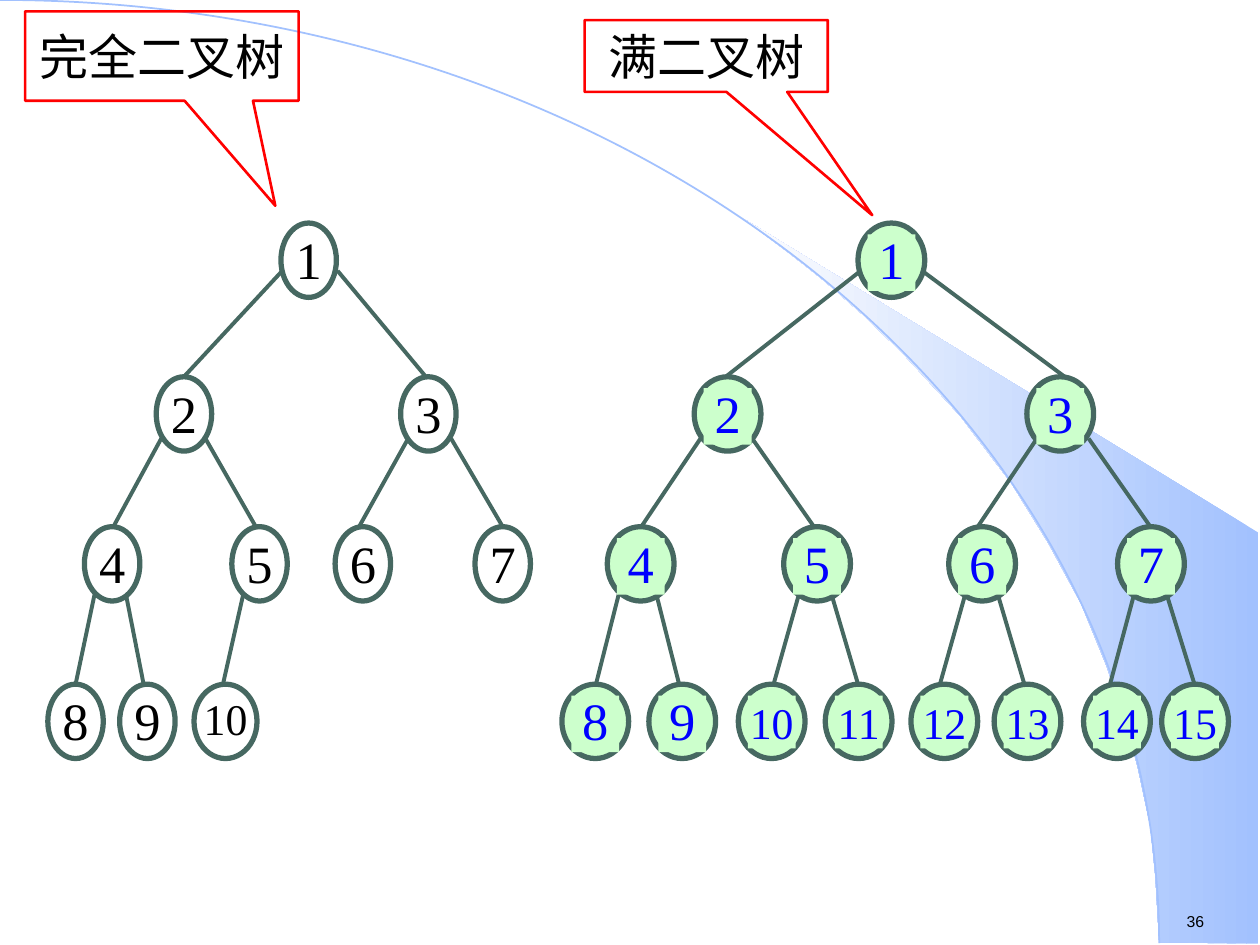
from lxml import etree
from pptx import Presentation
from pptx import util as u
from pptx.dml import color
from pptx.enum import shapes, text

ALIGN, ANCHOR, FIT = text.PP_ALIGN, text.MSO_ANCHOR, text.MSO_AUTO_SIZE
SHAPE = shapes.MSO_SHAPE
GREEN = "466861"


def paint(value):
    return color.RGBColor.from_string(value)


def write(shape, words, frame_format, para_format, font_format, ink):
    frame = shape.text_frame
    para = frame.paragraphs[0]
    span = para.add_run()
    span.text = words
    for target, values in ((frame, frame_format), (para, para_format), (span.font, font_format)):
        for name, value in values.items():
            setattr(target, name, value)
    span.font.color.rgb = paint(ink)


deck = Presentation()
deck.slide_width, deck.slide_height = u.Inches(10), u.Inches(7.5)
page = deck.slides.add_slide(deck.slide_layouts[6])

swoosh_points = [
    (999, 749), (999, 423), (589, 173), (624, 199), (653, 222), (685, 250),
    (716, 280), (762, 330), (803, 384), (832, 431), (858, 479), (878, 528),
    (893, 572), (903, 609), (913, 656), (917, 696), (920, 748),
]
builder = page.shapes.build_freeform(920, 748, scale=u.Inches(0.01))
builder.add_line_segments(swoosh_points, close=True)
swoosh = builder.convert_to_shape()
swoosh.shadow.inherit = False
swoosh.line.fill.background()
swoosh.fill.gradient()
swoosh.fill.gradient_angle = 180
for stop, (position, tint) in zip(swoosh.fill.gradient_stops, ((0, "A2C1FE"), (1, "FEFEFE"))):
    stop.position = position
    stop.color.rgb = paint(tint)

arc = page.shapes.add_shape(SHAPE.ARC, u.Inches(-9.2), 0, u.Inches(18.4), u.Inches(14.97))
arc.shadow.inherit = False
arc.fill.background()
arc.line.color.rgb = paint("A2C1FE")
arc.line.width = u.Pt(1)

number_box = page.shapes.add_textbox(u.Inches(9.32), u.Inches(7.19), u.Inches(0.77), u.Inches(0.25))
write(number_box, "36", {"word_wrap": False}, {"alignment": ALIGN.LEFT},
      {"size": u.Pt(9), "name": "Arial"}, "000000")

# Each node: left edge of the oval, then x of the branch at its parent and at the node.
level_tops = [1.77, 2.99, 4.18, 5.43]
branch_tops = [2.15, 3.48, 4.72]
trees = [
    {"width": 0.44, "label_width": 0.31, "fill": None, "ink": "000000", "nodes": [
        (2.23, None, None),
        (1.24, 2.24, 1.46), (3.18, 2.68, 3.38),
        (0.67, 1.28, 0.9), (1.84, 1.63, 2.03), (2.66, 3.24, 2.85), (3.77, 3.58, 3.99),
        (0.38, 0.75, 0.6), (0.95, 1, 1.14), (1.54, 1.93, 1.77)]},
    {"width": 0.53, "label_width": 0.38, "fill": "CCFFCC", "ink": "0000FF", "nodes": [
        (6.81, None, None),
        (5.51, 6.83, 5.76), (8.15, 7.32, 8.45),
        (4.82, 5.56, 5.09), (6.22, 5.97, 6.46), (7.53, 8.23, 7.76), (8.87, 8.64, 9.13),
        (4.46, 4.91, 4.73), (5.15, 5.21, 5.39), (5.86, 6.34, 6.14), (6.55, 6.6, 6.81),
        (7.23, 7.66, 7.46), (7.89, 7.92, 8.13), (8.6, 9, 8.81), (9.22, 9.26, 9.48)]},
]
label_frame = {"margin_left": 0, "margin_right": 0, "margin_top": 0, "margin_bottom": 0,
               "word_wrap": True, "auto_size": FIT.SHAPE_TO_FIT_TEXT}

for tree in trees:
    filled = tree["fill"] is not None
    for number, (left, start, end) in enumerate(tree["nodes"], 1):
        level = number.bit_length() - 1
        if level:
            branch = page.shapes.add_connector(
                shapes.MSO_CONNECTOR.STRAIGHT, u.Inches(start), u.Inches(branch_tops[level - 1]),
                u.Inches(end), u.Inches(level_tops[level]))
            branch.line.color.rgb = paint(GREEN)
            branch.line.width = u.Pt(2.25)
            properties = branch.element.spPr
            etree.SubElement(properties, properties.tag.replace("}spPr", "}effectLst").replace(
                "presentationml", "drawingml").replace("2006/main", "2006/main"))

    for number, (left, start, end) in enumerate(tree["nodes"], 1):
        top = level_tops[number.bit_length() - 1]
        double = number > 9
        width, label_width = tree["width"], tree["label_width"]
        if double and not filled:
            width, label_width = 0.5, 0.35
        oval = page.shapes.add_shape(SHAPE.FLOWCHART_CONNECTOR, u.Inches(left), u.Inches(top),
                                     u.Inches(width), u.Inches(0.59))
        oval.shadow.inherit = False
        oval.line.color.rgb = paint(GREEN)
        oval.line.width = u.Pt(3)
        label_top = top + (0.11 if double and not filled else 0.09)
        label_height = (0.42 if filled else 0.38) if double else 0.45
        label = page.shapes.add_textbox(
            u.Inches(left + (width - label_width) / 2), u.Inches(label_top),
            u.Inches(label_width), u.Inches(label_height))
        for part in (oval, label):
            if filled:
                part.fill.solid()
                part.fill.fore_color.rgb = paint(tree["fill"])
            else:
                part.fill.background()
        spacing = 1.0 if double and filled else 0.9
        write(label, str(number), label_frame,
              {"alignment": ALIGN.CENTER, "line_spacing": spacing},
              {"size": u.Pt(25 if double else 30), "name": "Times New Roman"}, tree["ink"])

callouts = [
    ("完全二叉树", (0.2, 0.09, 2.17, 0.71), (0.415, 1.674)),
    ("满二叉树", (4.64, 0.16, 1.93, 0.57), (0.683, 2.217)),
]
callout_frame = {"margin_left": 0, "margin_right": 0, "margin_top": 0, "margin_bottom": 0,
                 "word_wrap": True, "vertical_anchor": ANCHOR.MIDDLE}
for words, place, tip in callouts:
    callout = page.shapes.add_shape(SHAPE.RECTANGULAR_CALLOUT, *map(u.Inches, place))
    callout.adjustments[0], callout.adjustments[1] = tip
    callout.shadow.inherit = False
    callout.fill.background()
    callout.line.color.rgb = paint("FF0000")
    callout.line.width = u.Pt(1.5)
    write(callout, words, callout_frame, {"alignment": ALIGN.CENTER},
          {"size": u.Pt(28), "name": "Times New Roman"}, "000000")

deck.save("out.pptx")
